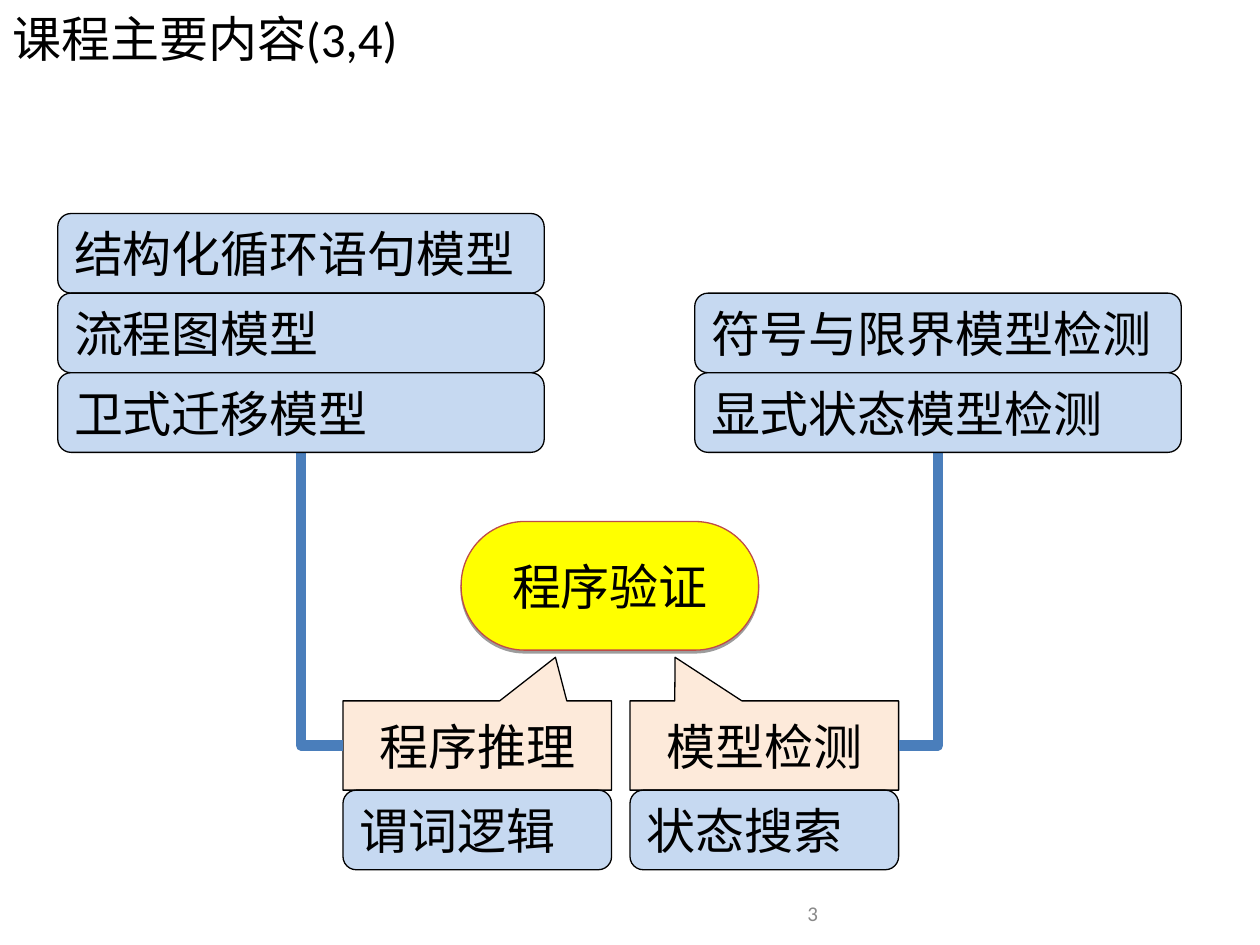
from lxml.etree import SubElement
from pptx import Presentation
from pptx.dml.color import RGBColor
from pptx.enum.shapes import MSO_CONNECTOR, MSO_SHAPE
from pptx.enum.text import MSO_ANCHOR, PP_ALIGN
from pptx.oxml.ns import qn
from pptx.util import Pt

BLACK = RGBColor(0x00, 0x00, 0x00)
GREY = RGBColor(0x89, 0x89, 0x89)
YELLOW = RGBColor(0xFF, 0xFF, 0x00)
RED = RGBColor(0xBE, 0x4B, 0x48)
PEACH = RGBColor(0xFD, 0xEA, 0xDA)
LIGHT_BLUE = RGBColor(0xC6, 0xD9, 0xF1)
BLUE = RGBColor(0x4A, 0x7E, 0xBB)

ROW_H = 45.5
STACK_W, STACK_BOTTOM = 278, 258.5
METHOD_W, METHOD_H, METHOD_TOP = 153.5, 51, 400.5
BRANCHES = [
    (196, "程序推理", "谓词逻辑", (0.291, -0.989),
     33, ["结构化循环语句模型", "流程图模型", "卫式迁移模型"]),
    (360, "模型检测", "状态搜索", (-0.332, -0.989),
     397, ["符号与限界模型检测", "显式状态模型检测"]),
]


def write(sp, text, font, align, size=28, color=BLACK, wrap=True, anchor=MSO_ANCHOR.MIDDLE):
    tf = sp.text_frame
    tf.word_wrap = wrap
    tf.vertical_anchor = anchor
    p = tf.paragraphs[0]
    p.alignment = align
    r = p.add_run()
    r.text = text
    r.font.name = font
    r.font.size = Pt(size)
    r.font.color.rgb = color
    return tf


def add_label(s, x, y, w, h, *args, **kwargs):
    sp = s.shapes.add_textbox(Pt(x), Pt(y), Pt(w), Pt(h))
    return write(sp, *args, **kwargs)


def add_box(s, kind, x, y, w, h, fill, line=BLACK, adj=()):
    sp = s.shapes.add_shape(kind, Pt(x), Pt(y), Pt(w), Pt(h))
    sp.shadow.inherit = False
    sp.fill.solid()
    sp.fill.fore_color.rgb = fill
    sp.line.color.rgb = line
    sp.line.width = Pt(0.75)
    for i, value in enumerate(adj):
        sp.adjustments[i] = value
    return sp


def add_topic(s, x, y, w, text):
    sp = add_box(s, MSO_SHAPE.FLOWCHART_ALTERNATE_PROCESS, x, y, w, ROW_H, LIGHT_BLUE)
    write(sp, text, "Arial", PP_ALIGN.LEFT, wrap=False)


def add_goal(s, text):
    sp = add_box(s, MSO_SHAPE.ROUNDED_RECTANGLE, 263.5, 298, 170, 73.5, YELLOW, RED, [0.494])
    effects = sp.element.spPr.find(qn("a:effectLst"))
    shadow = SubElement(effects, qn("a:outerShdw"), dist=str(Pt(1.6)), dir="5400000", rotWithShape="0")
    color = SubElement(shadow, qn("a:srgbClr"), val=str(BLACK))
    SubElement(color, qn("a:alpha"), val="38000")
    write(sp, text, "Calibri", PP_ALIGN.CENTER)


def add_elbow(s, x1, y1, x2, y2):
    """Draw a line that goes down from the start, then sideways to the end."""
    cx, cy = (x1 + x2) / 2, (y1 + y2) / 2
    half_w, half_h = (y2 - y1) / 2, abs(x2 - x1) / 2
    side = 1 if x2 > x1 else -1
    cxn = s.shapes.add_connector(
        MSO_CONNECTOR.ELBOW, Pt(cx + side * half_w), Pt(cy - half_h),
        Pt(cx - side * half_w), Pt(cy + half_h))
    cxn.line.color.rgb = BLUE
    cxn.line.width = Pt(6)
    props = cxn.element.spPr
    props.find(qn("a:xfrm")).set("rot", "16200000" if side > 0 else "5400000")
    props.find(qn("a:prstGeom")).set("prst", "bentConnector2")
    SubElement(props, qn("a:effectLst"))


def add_branch(s, x, method, basis, tip, stack_x, topics):
    sp = add_box(s, MSO_SHAPE.RECTANGULAR_CALLOUT, x, METHOD_TOP, METHOD_W, METHOD_H, PEACH, adj=tip)
    write(sp, method, "Arial", PP_ALIGN.CENTER, wrap=False)
    edge = x if stack_x < x else x + METHOD_W
    add_elbow(s, stack_x + STACK_W / 2, STACK_BOTTOM, edge, METHOD_TOP + METHOD_H / 2)
    top = STACK_BOTTOM - ROW_H * len(topics)
    for i, topic in enumerate(topics):
        add_topic(s, stack_x, top + i * ROW_H, STACK_W, topic)
    add_topic(s, x, METHOD_TOP + METHOD_H, METHOD_W, basis)


def main():
    prs = Presentation()
    prs.slide_width, prs.slide_height = Pt(720), Pt(540)
    s = prs.slides.add_slide(prs.slide_layouts[6])
    tf = add_label(s, 246, 500.5, 228.5, 28.5, "3", "Calibri", PP_ALIGN.RIGHT,
                   size=12, color=GREY, anchor=MSO_ANCHOR.BOTTOM)
    tf.margin_bottom = Pt(0)
    add_label(s, 0, 0, 685, 43, "课程主要内容(3,4)", "Calibri", PP_ALIGN.LEFT)
    add_goal(s, "程序验证")
    for branch in BRANCHES:
        add_branch(s, *branch)
    prs.save("out.pptx")


if __name__ == "__main__":
    main()
